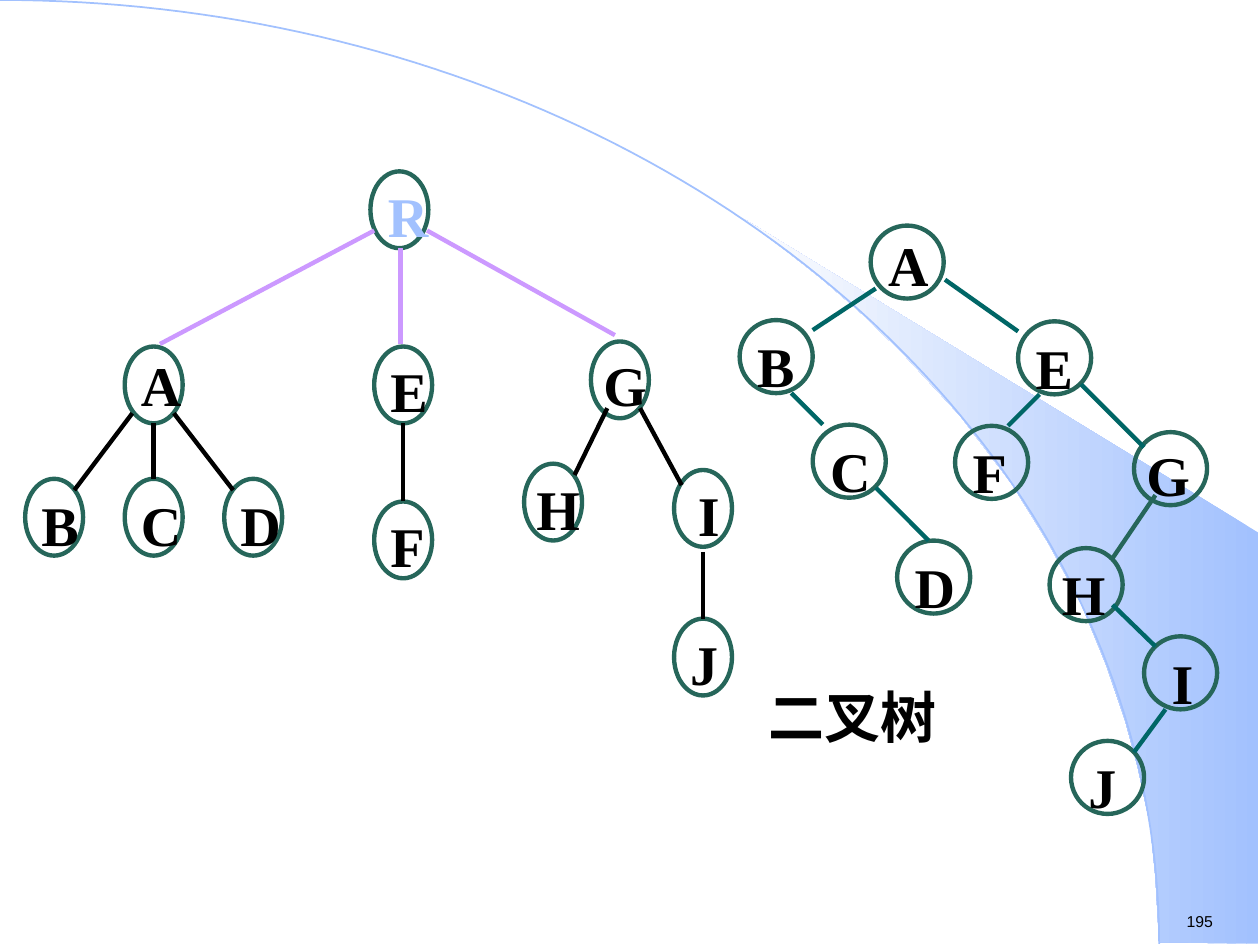
import dataclasses
import math
import pptx
import pptx.dml.color
import pptx.enum.shapes
import pptx.util
import lxml.etree

Inches = pptx.util.Inches
Pt = pptx.util.Pt


@dataclasses.dataclass(frozen=True)
class Theme:
    ring: str = "26665A"
    teal: str = "006666"
    lilac: str = "CC99FF"
    sky: str = "A2C1FE"
    pale: str = "FEFEFE"
    ink: str = "000000"
    serif: str = "Times New Roman"
    sans: str = "Arial"
    large: float = 32
    small: float = 9
    thick: float = 2.5
    thin: float = 1


THEME = Theme()

BAND = [
    (9.2, 7.48), (9.99, 7.49), (9.99, 4.23), (5.89, 1.73), (6.24, 1.99),
    (6.53, 2.22), (6.85, 2.5), (7.16, 2.8), (7.62, 3.3), (8.03, 3.84),
    (8.32, 4.31), (8.58, 4.79), (8.78, 5.28), (8.93, 5.72), (9.03, 6.09),
    (9.13, 6.56), (9.17, 6.96),
]

BINARY_SIZE = (0.58, 0.58)
BINARY_NODES = [
    ("G", 9, 3.43, 0, -0.05), ("J", 8.5, 5.88, 0.04, -0.08),
    ("H", 8.33, 4.35, 0, -0.08), ("I", 9.08, 5.05, 0.12, -0.08),
    ("F", 7.58, 3.38, 0.04, -0.08), ("E", 8.08, 2.55, 0.04, -0.08),
    ("A", 6.91, 1.79, 0.04, -0.08), ("C", 6.45, 3.37, 0.04, -0.08),
    ("B", 5.87, 2.54, 0.04, -0.08), ("D", 7.12, 4.29, 0.04, -0.08),
]
BINARY_EDGES = [
    (8.58, 3.05, 9.08, 3.55), (8.83, 4.8, 9.17, 5.13),
    (9.25, 5.63, 9, 5.97), (8.25, 3.13, 8, 3.38),
    (7.5, 2.22, 8.08, 2.63), (6.95, 2.29, 6.45, 2.62),
    (6.95, 3.87, 7.37, 4.29), (6.28, 3.12, 6.53, 3.37),
]
RING_EDGES = [(9.17, 3.93, 8.83, 4.43)]

FOREST_SIZE = (0.46, 0.61)
FOREST_NODES = [
    ("A", 0.99, 2.75, 0.03, -0.09), ("C", 0.99, 3.8, 0.03, -0.08),
    ("B", 0.2, 3.8, 0.03, -0.08), ("D", 1.78, 3.8, 0.03, -0.08),
    ("F", 2.97, 3.98, 0.03, -0.09), ("E", 2.97, 2.75, 0.03, -0.09),
    ("G", 4.69, 2.71, 0, -0.05), ("J", 5.35, 4.91, 0.03, -0.09),
    ("H", 4.16, 3.68, 0, -0.09), ("I", 5.35, 3.73, 0.09, -0.09),
    ("R", 2.94, 1.36, 0.04, -0.09),
]
FOREST_EDGES = [
    (1.22, 3.36, 1.22, 3.8), (1.05, 3.28, 0.59, 3.89),
    (1.38, 3.28, 1.85, 3.89), (3.2, 3.36, 3.2, 3.98),
    (4.82, 3.24, 4.56, 3.77), (5.08, 3.24, 5.41, 3.85),
    (5.58, 4.38, 5.58, 4.91),
]
ROOT_EDGES = [
    (2.97, 1.83, 1.27, 2.73), (3.18, 1.97, 3.18, 2.73),
    (3.39, 1.83, 4.88, 2.66),
]


def rgb(code):
    return pptx.dml.color.RGBColor.from_string(code)


def stroke(line, color, width):
    line.color.rgb = rgb(color)
    line.width = Pt(width)


def add_path(slide, points, close):
    start, *rest = points
    path = slide.shapes.build_freeform(
        Inches(start[0]), Inches(start[1]), scale=1.0)
    path.add_line_segments(
        [(Inches(x), Inches(y)) for x, y in rest], close=close)
    shape = path.convert_to_shape()
    shape.shadow.inherit = False
    return shape


def add_band(slide):
    band = add_path(slide, BAND, True)
    band.line.fill.background()
    band.fill.gradient()
    band.fill.gradient_angle = 180
    for stop, color in zip(band.fill.gradient_stops, (THEME.sky, THEME.pale)):
        stop.color.rgb = rgb(color)
    band.fill.gradient_stops[0].position = 0
    band.fill.gradient_stops[1].position = 1


def add_arc(slide):
    turns = [math.radians(step) for step in range(91)]
    points = [(9.2 * math.sin(t), 7.49 * (1 - math.cos(t))) for t in turns]
    arc = add_path(slide, points, False)
    arc.fill.background()
    stroke(arc.line, THEME.sky, THEME.thin)


def add_label(slide, text, box, face, size, color, bold, top, lead=1.0):
    label = slide.shapes.add_textbox(*map(Inches, box))
    frame = label.text_frame
    frame.word_wrap = True
    frame.margin_top = Inches(top)
    frame.text = text
    para = frame.paragraphs[0]
    para.line_spacing = lead
    font = para.runs[0].font
    font.name = face
    font.size = Pt(size)
    font.bold = bold
    font.color.rgb = rgb(color)


def add_node(slide, node, size):
    name, left, top, right, down = node
    ring = slide.shapes.add_shape(
        pptx.enum.shapes.MSO_SHAPE.OVAL, *map(Inches, (left, top, *size)))
    ring.shadow.inherit = False
    ring.fill.background()
    stroke(ring.line, THEME.ring, THEME.thick)
    lead = 1.0 if name in "AG" else 1.1
    color = THEME.sky if name == "R" else THEME.ink
    box = (left + right, top + down, size[0], 0.64 if lead == 1.0 else 0.69)
    add_label(slide, name, box, THEME.serif, THEME.large, color, True, 0.12, lead)


def add_edge(slide, ends, color):
    edge = slide.shapes.add_connector(
        pptx.enum.shapes.MSO_CONNECTOR.STRAIGHT, *map(Inches, ends))
    stroke(edge.line, color, THEME.thick)
    props = edge._element.spPr
    lxml.etree.SubElement(props, pptx.oxml.ns.qn("a:effectLst"))


def add_tree(slide, nodes, size, edges):
    for node in nodes:
        add_node(slide, node, size)
    for color, group in edges:
        for ends in group:
            add_edge(slide, ends, color)


def main():
    deck = pptx.Presentation()
    deck.slide_width, deck.slide_height = Inches(10), Inches(7.5)
    slide = deck.slides.add_slide(deck.slide_layouts[6])
    add_band(slide)
    add_arc(slide)
    add_label(slide, "195", (9.32, 7.19, 0.6, 0.25),
              THEME.sans, THEME.small, THEME.ink, False, 0.05)
    add_label(slide, "二叉树", (6, 5.3, 1.83, 0.64),
              THEME.serif, THEME.large, THEME.ink, True, 0.12)
    add_tree(slide, BINARY_NODES, BINARY_SIZE,
             [(THEME.ring, RING_EDGES), (THEME.teal, BINARY_EDGES)])
    add_tree(slide, FOREST_NODES, FOREST_SIZE,
             [(THEME.ink, FOREST_EDGES), (THEME.lilac, ROOT_EDGES)])
    deck.save("out.pptx")


if __name__ == "__main__":
    main()
